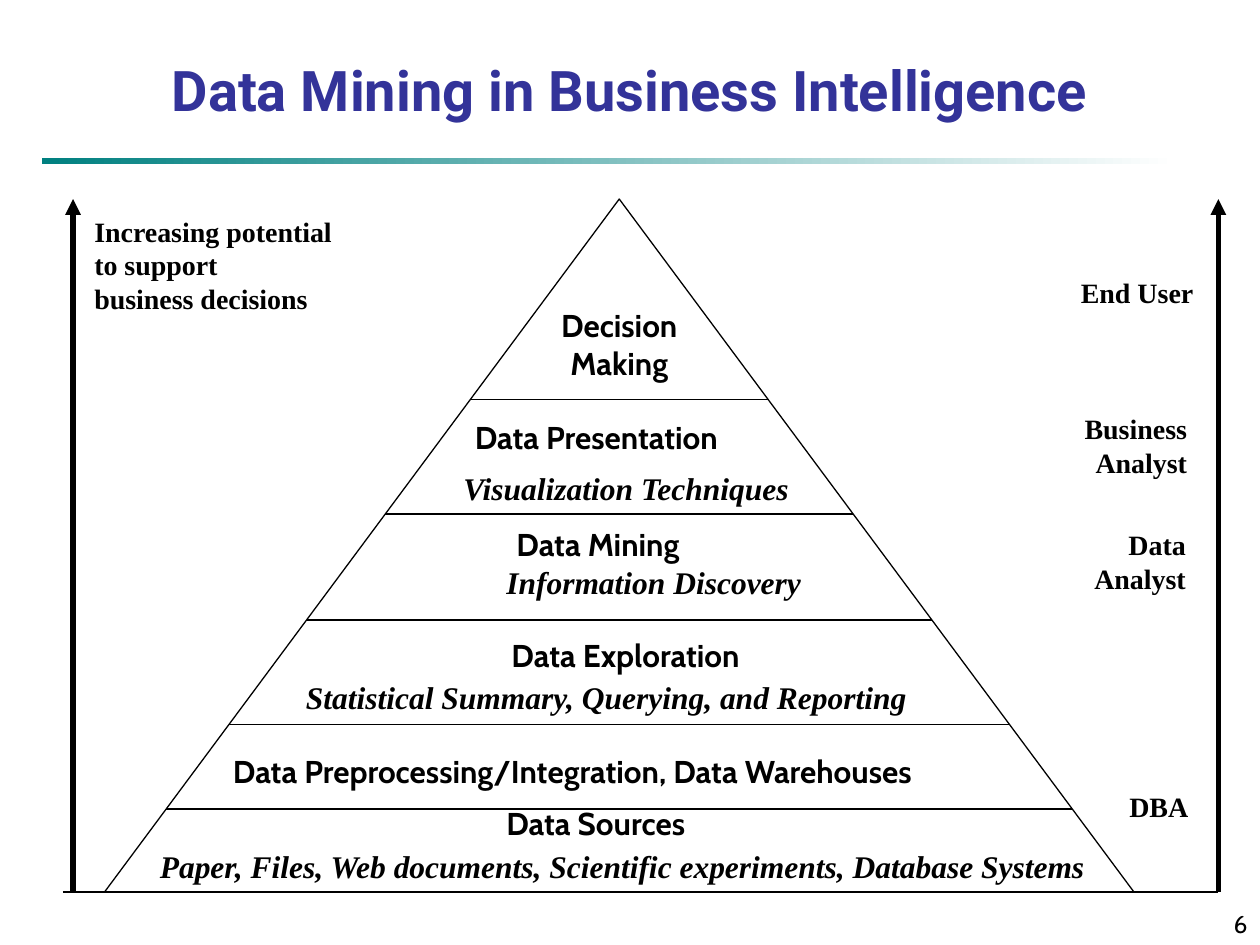
from collections import namedtuple

from lxml import etree
from pptx import Presentation
from pptx.dml.color import RGBColor
from pptx.enum.shapes import MSO_CONNECTOR as LINE, MSO_SHAPE as SHAPE
from pptx.enum.text import MSO_ANCHOR as ANCHOR, MSO_AUTO_SIZE as AUTO, PP_ALIGN as ALIGN
from pptx.oxml.ns import qn
from pptx.util import Inches, Pt

Box = namedtuple("Box", "left top width height")

COLORS = {"title": "333399", "ink": "000000", "teal": "008080", "white": "FFFFFF"}
HEADING, SERIF, TITLE = "Cabin", "Times New Roman", "Roboto"


def color(name):
    return RGBColor.from_string(COLORS[name])


def inches(box):
    return [Inches(value) for value in box]


def within(box, left, top, width, height):
    return Box(box.left + left, box.top + top, width, height)


def style(para, font, size, align=ALIGN.LEFT, bold=True, italic=False, ink="ink"):
    para.alignment = align
    para.font.name = font
    para.font.size = Pt(size)
    para.font.bold = bold
    para.font.italic = italic
    para.font.color.rgb = color(ink)


def add_text(page, box, text, font, size, wrap=False, anchor=ANCHOR.TOP, **look):
    frame = page.shapes.add_textbox(*inches(box)).text_frame
    frame.text = text
    frame.word_wrap = wrap
    frame.auto_size = AUTO.NONE if anchor == ANCHOR.BOTTOM else AUTO.SHAPE_TO_FIT_TEXT
    frame.vertical_anchor = anchor
    for para in frame.paragraphs:
        style(para, font, size, **look)


def add_line(page, x1, y1, x2, y2, weight=0.75, arrow=False):
    line = page.shapes.add_connector(LINE.STRAIGHT, *inches((x1, y1, x2, y2)))
    line.line.color.rgb = color("ink")
    line.line.width = Pt(weight)
    if arrow:
        etree.SubElement(line.line._get_or_add_ln(), qn("a:tailEnd"), type="triangle")
    etree.SubElement(line._element.spPr, qn("a:effectLst"))


def add_title(page, box):
    title = page.shapes.title
    title.left, title.top, title.width, title.height = inches(box)
    frame = title.text_frame
    frame.text = "Data Mining in Business Intelligence"
    frame.vertical_anchor = ANCHOR.MIDDLE
    style(frame.paragraphs[0], TITLE, 32, ALIGN.CENTER, ink="title")


def add_rule(page, box):
    bar = page.shapes.add_shape(SHAPE.RECTANGLE, *inches(box))
    bar.shadow.inherit = False
    bar.line.fill.background()
    bar.fill.gradient()
    bar.fill.gradient_angle = 0
    for stop, name, position in zip(bar.fill.gradient_stops, ("teal", "white"), (0, 1)):
        stop.color.rgb = color(name)
        stop.position = position


def add_pyramid(page, box):
    outline = page.shapes.add_shape(SHAPE.FLOWCHART_EXTRACT, *inches(box))
    outline.shadow.inherit = False
    outline.fill.background()
    outline.line.color.rgb = color("ink")
    outline.line.width = Pt(0.75)

    middle = box.left + box.width / 2
    for depth in (1.59, 2.5, 3.34, 4.17, 4.84):
        half = box.width / 2 * depth / box.height
        add_line(page, middle - half, box.top + depth, middle + half, box.top + depth)

    headings = [
        ("Decision Making", 3.42, 0.8, 1.33, 0.7, True, ALIGN.CENTER),
        ("Data Presentation", 2.84, 1.69, 2.47, 0.4, False, ALIGN.LEFT),
        ("Data Mining", 3.17, 2.54, 1.95, 0.4, True, ALIGN.LEFT),
        ("Data Exploration", 2.85, 3.42, 2.57, 0.4, True, ALIGN.CENTER),
        ("Data Preprocessing/Integration, Data Warehouses", 0.92, 4.34, 6.59, 0.4, False, ALIGN.LEFT),
        ("Data Sources", 3.09, 4.75, 1.86, 0.4, False, ALIGN.LEFT),
    ]
    for text, left, top, width, height, wrap, align in headings:
        add_text(page, within(box, left, top, width, height), text, HEADING, 18, wrap, align=align)

    details = [
        ("Visualization Techniques", 2.75, 2.09, 2.82, False),
        ("Information Discovery", 3.09, 2.84, 2.54, False),
        ("Statistical Summary, Querying, and Reporting", 1.5, 3.75, 5, True),
        ("Paper, Files, Web documents, Scientific experiments, Database Systems", 0.34, 5.09, 7.78, True),
    ]
    for text, left, top, width, wrap in details:
        add_text(page, within(box, left, top, width, 0.4), text, SERIF, 18, wrap, italic=True)


def add_axes(page, box):
    right, bottom = box.left + box.width, box.top + box.height
    for x in (box.left, right):
        add_line(page, x, bottom, x, box.top, weight=3, arrow=True)
    add_line(page, box.left - 0.08, bottom, right, bottom)
    add_text(page, within(box, 0.07, 0.07, 2.1, 0.9),
             "Increasing potential\nto support\nbusiness decisions", SERIF, 16)


def add_roles(page, box):
    roles = [
        ("End User", 0, 0, 1.1, 0.37),
        ("Business\nAnalyst", 0.01, 1.08, 1.04, 0.64),
        ("Data\nAnalyst", 0.1, 2, 0.94, 0.64),
        ("DBA", 0.39, 4.08, 0.67, 0.37),
    ]
    for text, *place in roles:
        add_text(page, within(box, *place), text, SERIF, 16, align=ALIGN.RIGHT)


def main():
    deck = Presentation()
    deck.slide_width, deck.slide_height = Inches(10), Inches(7.5)
    page = deck.slides.add_slide(deck.slide_layouts[5])
    add_rule(page, Box(0.33, 1.25, 9, 0.05))
    add_title(page, Box(0.25, 0.42, 9.5, 0.58))
    add_pyramid(page, Box(0.83, 1.58, 8.17, 5.5))
    add_axes(page, Box(0.58, 1.58, 9.09, 5.5))
    add_roles(page, Box(8.47, 2.14, 1.1, 4.45))
    add_text(page, Box(7.92, 7, 2.08, 0.5), "6", HEADING, 14, True, ANCHOR.BOTTOM,
             align=ALIGN.RIGHT, bold=False)
    deck.save("out.pptx")


if __name__ == "__main__":
    main()
